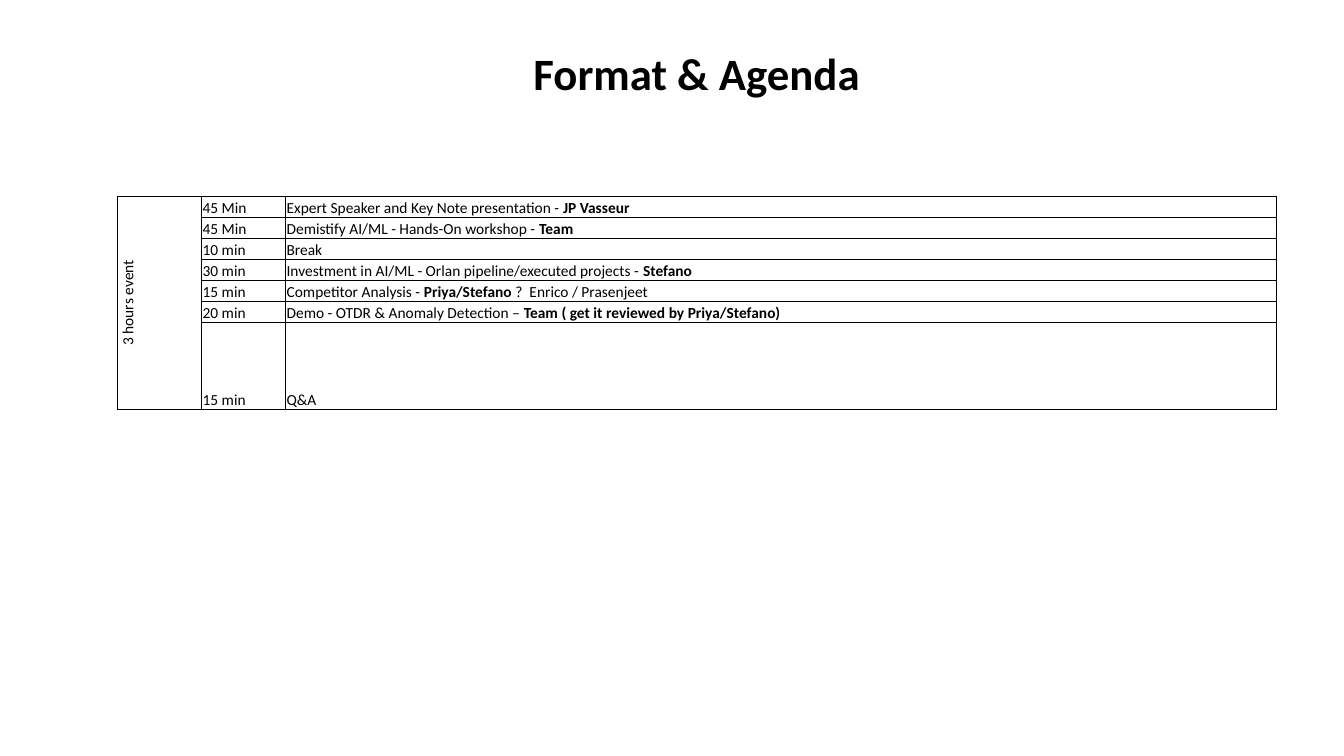
from lxml.etree import SubElement
from pptx import Presentation
from pptx.dml.color import RGBColor
from pptx.enum.text import MSO_ANCHOR, MSO_AUTO_SIZE, PP_ALIGN
from pptx.oxml.ns import qn
from pptx.util import Inches, Pt

BLACK = RGBColor(0x00, 0x00, 0x00)
WHITE = RGBColor(0xFF, 0xFF, 0xFF)

EVENT = "3 hours event"
AGENDA = [
    ("45 Min", [("Expert Speaker and Key Note presentation - ", False), ("JP Vasseur", True)]),
    ("45 Min", [("Demistify AI/ML - Hands-On workshop - ", False), ("Team", True)]),
    ("10 min", [("Break", False)]),
    ("30 min", [("Investment in AI/ML - Orlan pipeline/executed projects - ", False),
                ("Stefano", True)]),
    ("15 min", [("Competitor Analysis - ", False), ("Priya/Stefano", True),
                (" ?  Enrico / Prasenjeet", False)]),
    ("20 min", [("Demo - OTDR & Anomaly Detection – ", False),
                ("Team ( get it reviewed by Priya/Stefano)", True)]),
    ("15 min", [("Q&A", False)]),
]


class AgendaPage:
    font = "Calibri"
    title_size = 32
    table_size = 11
    outer_line = 1
    inner_line = 0.5
    inset = Inches(0.01)
    grid_columns = 160
    grid_rows = 90

    def __init__(self, deck):
        self.column = deck.slide_width / self.grid_columns
        self.row = deck.slide_height / self.grid_rows
        self.page = deck.slides.add_slide(deck.slide_layouts[5])
        self.page.background.fill.solid()
        self.page.background.fill.fore_color.rgb = WHITE

    def across(self, columns):
        return round(columns * self.column)

    def down(self, rows):
        return round(rows * self.row)

    def add_spans(self, para, spans, size):
        for text, bold in spans:
            span = para.add_run()
            span.text = text
            span.font.name = self.font
            span.font.size = Pt(size)
            span.font.bold = bold
            span.font.color.rgb = BLACK

    def title(self, text, left, top, width, height):
        box = self.page.shapes.title
        box.left, box.top = self.across(left), self.down(top)
        box.width, box.height = self.across(width), self.down(height)
        frame = box.text_frame
        frame.word_wrap = False
        frame.auto_size = MSO_AUTO_SIZE.SHAPE_TO_FIT_TEXT
        frame.vertical_anchor = MSO_ANCHOR.TOP
        para = frame.paragraphs[0]
        para.alignment = PP_ALIGN.LEFT
        self.add_spans(para, [(text, True)], self.title_size)

    def table(self, left, top, widths, heights):
        table = self.page.shapes.add_table(
            len(heights), len(widths), self.across(left), self.down(top),
            self.across(sum(widths)), self.down(sum(heights))).table
        table.first_row = False
        table.horz_banding = False
        for column, width in zip(table.columns, widths):
            column.width = self.across(width)
        for row, height in zip(table.rows, heights):
            row.height = self.down(height)
        return table

    def borders(self, cell, outer_sides):
        properties = cell._tc.get_or_add_tcPr()
        for side in "LRTB":
            width = self.outer_line if side in outer_sides else self.inner_line
            line = SubElement(properties, qn(f"a:ln{side}"), w=str(Pt(width)))
            fill = SubElement(line, qn("a:solidFill"))
            SubElement(fill, qn("a:srgbClr"), val=str(BLACK))

    def cell(self, cell, spans, outer_sides, anchor=MSO_ANCHOR.BOTTOM):
        cell.margin_left = cell.margin_right = cell.margin_top = self.inset
        cell.margin_bottom = 0
        cell.vertical_anchor = anchor
        self.borders(cell, outer_sides)
        cell.fill.background()
        para = cell.text_frame.paragraphs[0]
        self.add_spans(para, spans, self.table_size)
        return para

    def agenda(self, event, items, left, top, widths, heights):
        table = self.table(left, top, widths, heights)
        last = len(items) - 1
        event_cell = table.cell(0, 0)
        event_cell.merge(table.cell(last, 0))
        para = self.cell(event_cell, [(event, False)], "LTB", MSO_ANCHOR.MIDDLE)
        para.alignment = PP_ALIGN.CENTER
        event_cell._tc.get_or_add_tcPr().set("vert", "vert270")
        for index, (duration, topic) in enumerate(items):
            edges = ("T" if index == 0 else "") + ("B" if index == last else "")
            self.cell(table.cell(index, 1), [(duration, False)], edges)
            self.cell(table.cell(index, 2), topic, edges + "R")


deck = Presentation()
deck.slide_width = Inches(13.33)
deck.slide_height = Inches(7.5)
page = AgendaPage(deck)
page.title("Format & Agenda", left=62.3, top=4.8, width=41.6, height=7.7)
page.agenda(EVENT, AGENDA, left=14, top=23.4, widths=[10, 10, 118],
            heights=[2.5] * (len(AGENDA) - 1) + [2.6])
deck.save("out.pptx")
